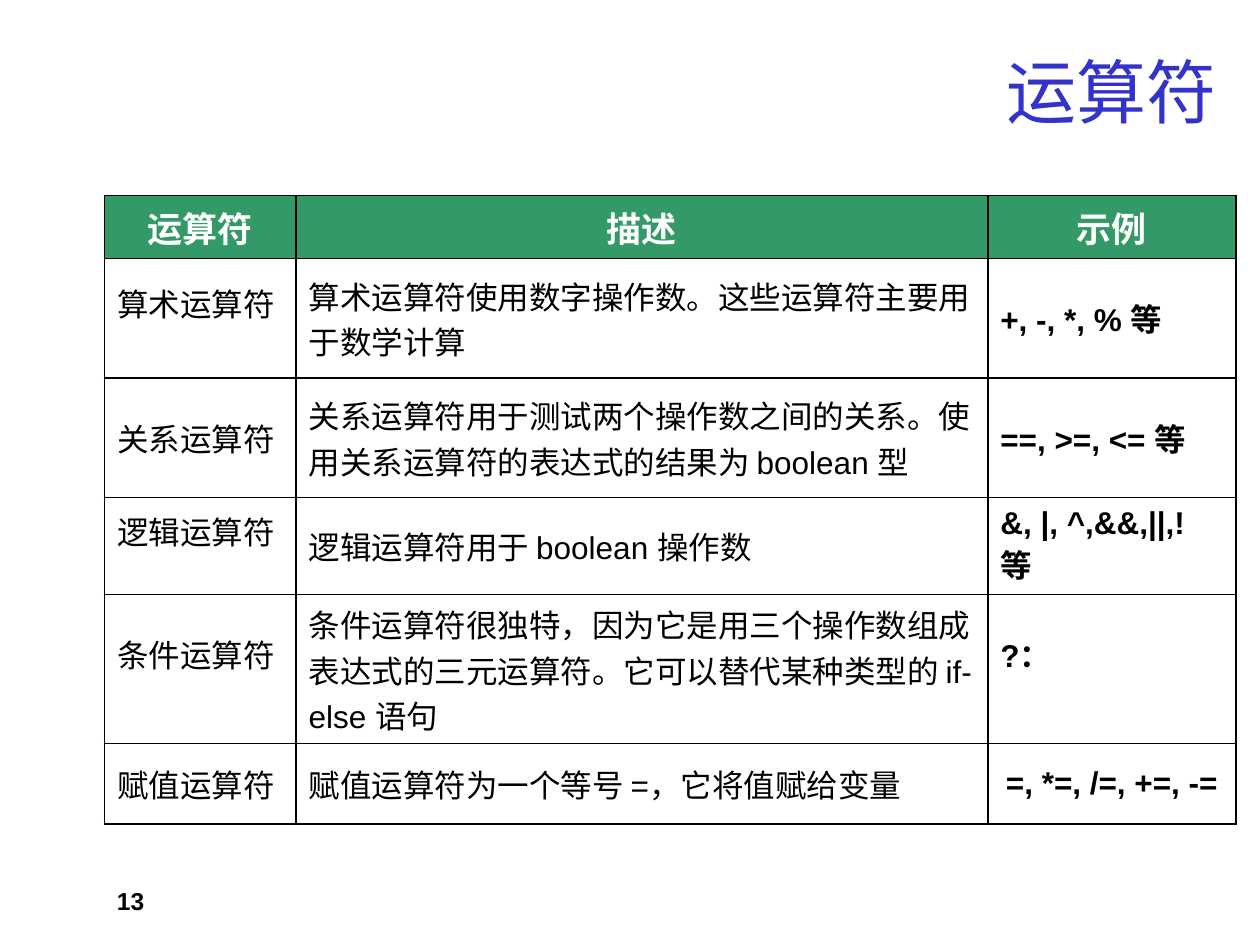
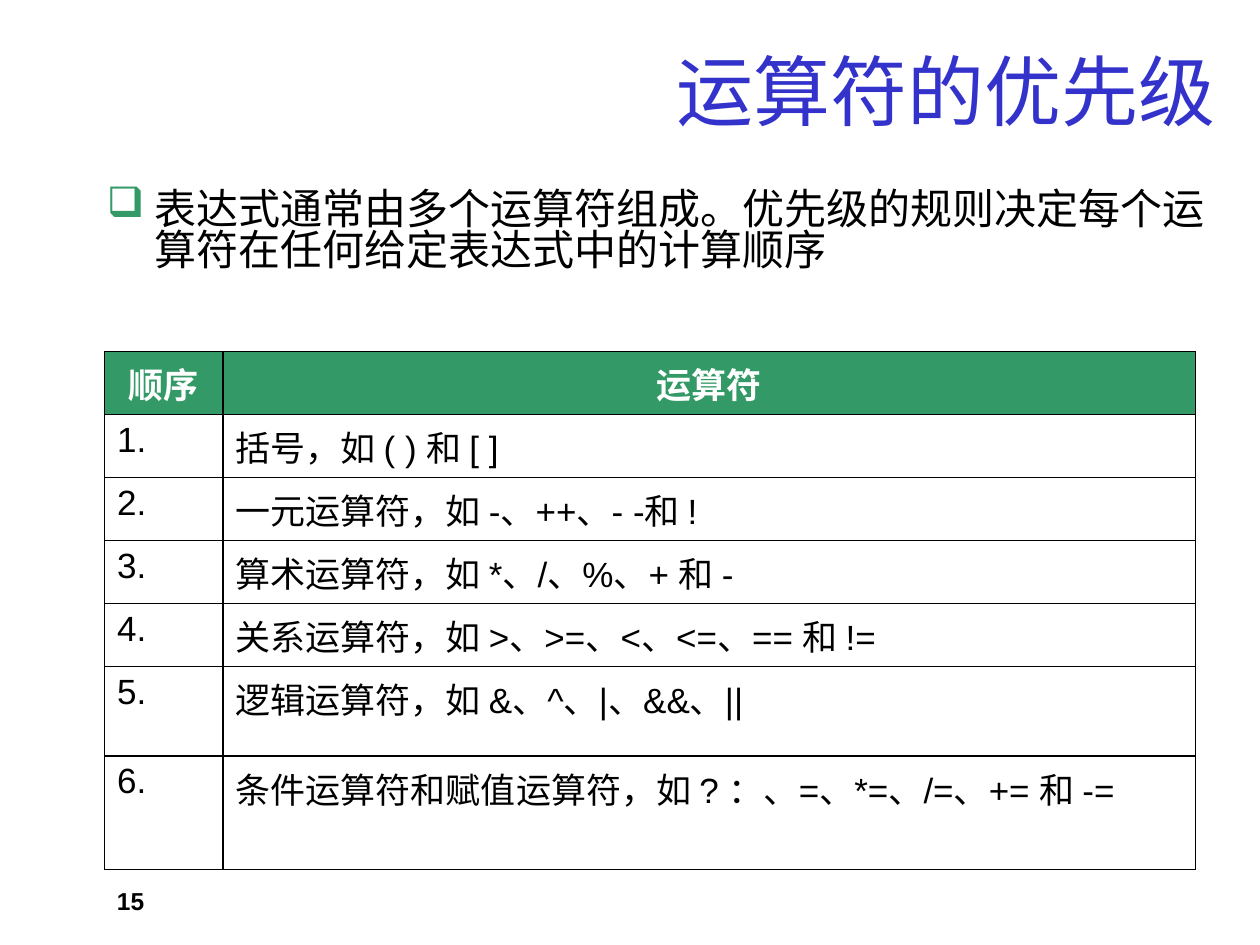
from lxml.etree import SubElement
from pptx import Presentation
from pptx.dml.color import RGBColor
from pptx.enum.text import MSO_ANCHOR as Anchor, PP_ALIGN as Align
from pptx.oxml.ns import qn
from pptx.util import Inches, Pt

FONT, ASIAN_FONT = "Arial", "Noto Sans CJK SC"
BLACK, WHITE, GREEN, BLUE = "000000", "FFFFFF", "339966", "3333CC"
HANGING = 0.38
HEADER = {"size": 20, "bold": True, "color": WHITE, "align": Align.CENTER}

OPERATOR_COLUMNS = [1.52, 5.49, 1.97]
OPERATOR_HEIGHTS = [0.5, 0.95, 0.95, 0.77, 1.18, 0.64]
OPERATOR_ROWS = [
    ["运算符", "描述", "示例"],
    ["算术运算符", "算术运算符使用数字操作数。这些运算符主要用于数学计算", "+, -, *, % 等"],
    ["关系运算符", "关系运算符用于测试两个操作数之间的关系。使用关系运算符的表达式的结果为 boolean 型",
     "==, >=, <= 等"],
    ["逻辑运算符", "逻辑运算符用于 boolean 操作数", "&, |, ^,&&,||,! 等"],
    ["条件运算符", "条件运算符很独特，因为它是用三个操作数组成表达式的三元运算符。它可以替代某种类型的 if-else 语句",
     "?："],
    ["赋值运算符", "赋值运算符为一个等号 =，它将值赋给变量", "=, *=, /=, +=, -="],
]
RAISED_CELLS = {(1, 0), (3, 0), (4, 0), (4, 2)}

PRECEDENCE_COLUMNS = [0.94, 7.72]
PRECEDENCE_HEIGHTS = [0.5] * 5 + [0.71, 0.9]
PRECEDENCE_GROUPS = [
    "括号，如 ( ) 和 [ ]",
    "一元运算符，如 -、++、- -和 !",
    "算术运算符，如 *、/、%、+ 和 -",
    "关系运算符，如 >、>=、<、<=、== 和 !=",
    "逻辑运算符，如 &、^、|、&&、||",
    "条件运算符和赋值运算符，如 ? ：、=、*=、/=、+= 和 -=",
]


def rgb(value):
    """Turn a hex string into a colour."""
    return RGBColor.from_string(value)


def apply(target, values):
    """Set each named attribute on the target."""
    for name, value in values.items():
        setattr(target, name, value)


def write(frame, text, size, color=BLACK, bold=False, align=Align.LEFT, before=0, indent=0, line=None):
    """Write one formatted paragraph into a text frame and return it."""
    paragraph = frame.paragraphs[0]
    apply(paragraph, {"alignment": align, "space_before": Pt(before), "line_spacing": line})
    if indent:
        properties = paragraph._p.get_or_add_pPr()
        properties.set("marL", str(Inches(indent)))
        properties.set("indent", str(-Inches(indent)))
    run = paragraph.add_run()
    run.text = text
    apply(run.font, {"name": FONT, "size": Pt(size), "bold": bold})
    run.font.color.rgb = rgb(color)
    SubElement(run._r.get_or_add_rPr(), qn("a:ea"), typeface=ASIAN_FONT)
    return paragraph


def add_text(slide, box, text, anchor=Anchor.TOP, **style):
    """Add a wrapping text box and return its paragraph."""
    frame = slide.shapes.add_textbox(*map(Inches, box)).text_frame
    apply(frame, {"word_wrap": True, "vertical_anchor": anchor})
    return write(frame, text, **style)


def add_bullet(paragraph, character, color):
    """Give a paragraph a coloured bullet."""
    properties = paragraph._p.get_or_add_pPr()
    bullet_color = SubElement(properties, qn("a:buClr"))
    SubElement(bullet_color, qn("a:srgbClr"), val=color)
    SubElement(properties, qn("a:buChar"), char=character)


def add_borders(cell):
    """Draw a thin black line on each side of a cell."""
    properties = cell._tc.get_or_add_tcPr()
    for side in ("lnL", "lnR", "lnT", "lnB"):
        border = SubElement(properties, qn("a:" + side), w=str(Pt(1)))
        fill = SubElement(border, qn("a:solidFill"))
        SubElement(fill, qn("a:srgbClr"), val=BLACK)


def add_grid(slide, left, top, columns, heights, rows, anchor, style_for, raised=()):
    """Add a bordered table with a green header row."""
    box = map(Inches, (left, top, sum(columns), sum(heights)))
    table = slide.shapes.add_table(len(rows), len(columns), *box).table
    apply(table, {"first_row": False, "horz_banding": False})
    for column, width in zip(table.columns, columns):
        column.width = Inches(width)
    for row_index, (texts, height) in enumerate(zip(rows, heights)):
        table.rows[row_index].height = Inches(height)
        for column_index, text in enumerate(texts):
            cell = table.cell(row_index, column_index)
            bottom = 0.29 if (row_index, column_index) in raised else 0.05
            apply(cell, {"vertical_anchor": anchor, "margin_bottom": Inches(bottom)})
            add_borders(cell)
            if row_index == 0:
                cell.fill.solid()
                cell.fill.fore_color.rgb = rgb(GREEN)
            else:
                cell.fill.background()
            write(cell.text_frame, text, **style_for(row_index, column_index))


def operator_style(row, column):
    """Return the text style of a cell in the operator table."""
    if row == 0:
        return {**HEADER, "before": 4}
    last = row == len(OPERATOR_ROWS) - 1 and column == 2
    return {"size": 18, "bold": column == 2, "before": 3.6,
            "align": Align.CENTER if last else Align.LEFT}


def precedence_style(row, column):
    """Return the text style of a cell in the precedence table."""
    return {**(HEADER if row == 0 else {"size": 20}), "indent": HANGING}


def add_page(presentation, title, title_size, number):
    """Add a blank slide with its title and page number."""
    slide = presentation.slides.add_slide(presentation.slide_layouts[6])
    add_text(slide, (0.75, 0.28, 9, 0.87), title, Anchor.MIDDLE,
             size=title_size, color=BLUE, align=Align.RIGHT)
    add_text(slide, (0.83, 6.98, 2.33, 0.24), str(number), size=14, bold=True)
    return slide


def build_operators(presentation):
    """Build the slide listing the kinds of operator."""
    slide = add_page(presentation, "运算符", 40, 13)
    add_grid(slide, 0.83, 1.55, OPERATOR_COLUMNS, OPERATOR_HEIGHTS, OPERATOR_ROWS,
             Anchor.MIDDLE, operator_style, RAISED_CELLS)


def build_precedence(presentation):
    """Build the slide on operator precedence."""
    slide = add_page(presentation, "运算符的优先级", 44, 15)
    paragraph = add_text(
        slide, (0.75, 1.47, 8.98, 0.94),
        "表达式通常由多个运算符组成。优先级的规则决定每个运算符在任何给定表达式中的计算顺序",
        size=24, before=2.5, indent=HANGING, line=0.82)
    add_bullet(paragraph, "❑", GREEN)
    numbered = [[f"{order}.", group] for order, group in enumerate(PRECEDENCE_GROUPS, 1)]
    add_grid(slide, 0.83, 2.79, PRECEDENCE_COLUMNS, PRECEDENCE_HEIGHTS,
             [["顺序", "运算符"]] + numbered, Anchor.TOP, precedence_style)


def main():
    """Build and save the presentation."""
    presentation = Presentation()
    apply(presentation, {"slide_width": Inches(10), "slide_height": Inches(7.5)})
    build_operators(presentation)
    build_precedence(presentation)
    presentation.save("out.pptx")


main()
